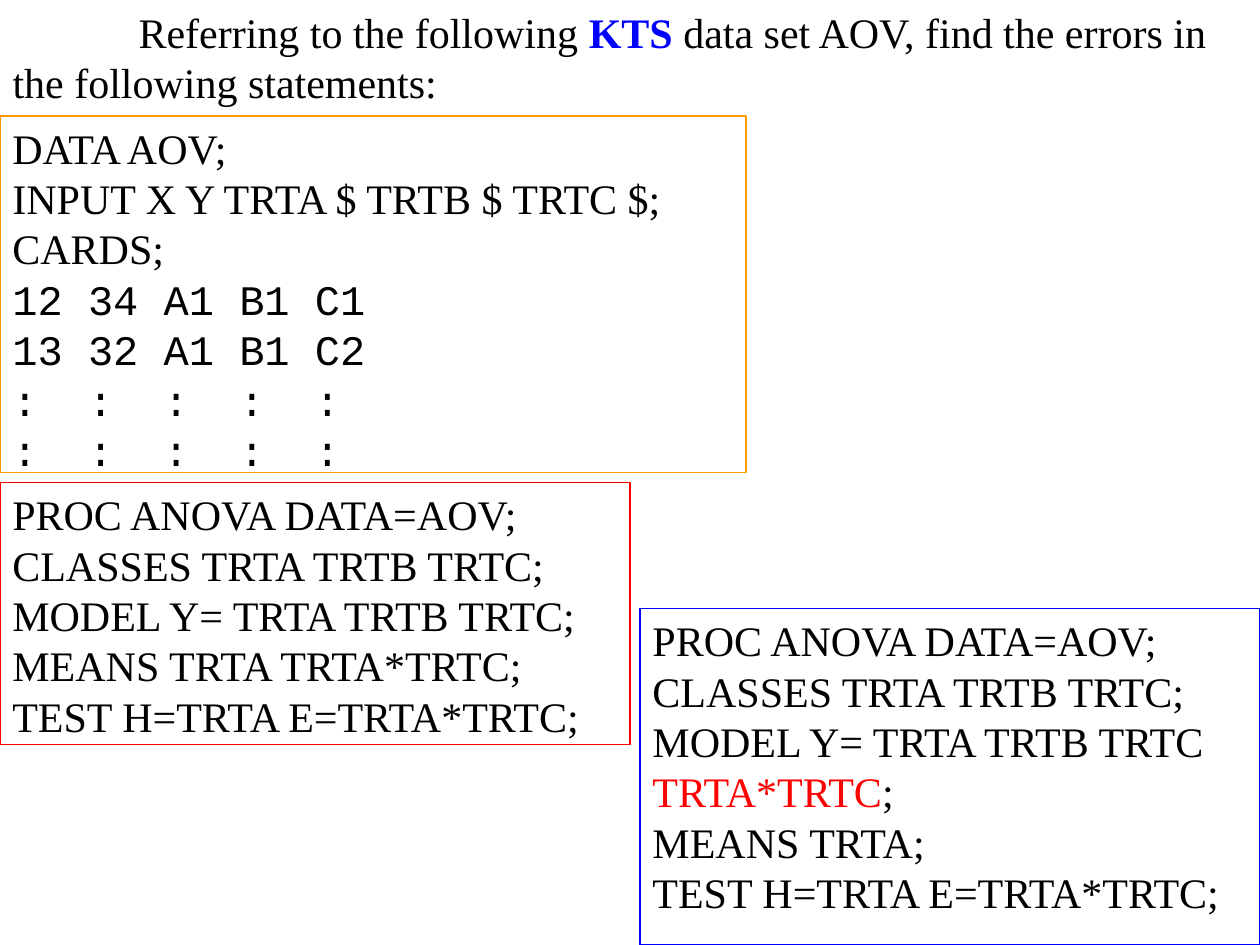
from lxml import etree
from pptx import Presentation
from pptx.dml.color import RGBColor
from pptx.enum import shapes, text
from pptx.oxml import ns
from pptx.util import Inches, Pt

COLORS = {
    "black": "000000",
    "white": "FFFFFF",
    "orange": "FF9900",
    "red": "FF0000",
    "blue": "0000FF",
}
SERIF, MONO = "Times New Roman", "Courier New"


def color(name):
    return RGBColor.from_string(COLORS[name])


def style(font, face=SERIF):
    font.name = face
    font.size = Pt(24)
    font.color.rgb = color("black")


def add_tab_stop(paragraph, position):
    properties = paragraph._p.get_or_add_pPr()
    tabs = etree.SubElement(properties, ns.qn("a:tabLst"))
    etree.SubElement(tabs, ns.qn("a:tab"), pos=str(position), algn="l")


def add_question(slide, left, top, width, height):
    """Opening question in the title placeholder, with the software name marked."""
    question = slide.shapes.title
    question.left, question.top = Inches(left), Inches(top)
    question.width, question.height = Inches(width), Inches(height)
    frame = question.text_frame
    frame.word_wrap = True
    frame.auto_size = text.MSO_AUTO_SIZE.NONE
    frame.vertical_anchor = text.MSO_ANCHOR.TOP
    sentence = frame.paragraphs[0]
    sentence.alignment = text.PP_ALIGN.LEFT
    add_tab_stop(sentence, Inches(1))
    style(sentence.font)
    sentence.add_run().text = "\tReferring to the following "
    software = sentence.add_run()
    software.text = "KTS"
    software.font.bold = True
    software.font.color.rgb = color("blue")
    sentence.add_run().text = (
        " data set AOV, find the errors in the following statements:")


def add_code(slide, left, top, width, height, border, lines, mono_from=None):
    """Framed code; a line is a string or a list of (text, color name) pieces."""
    panel = slide.shapes.add_shape(
        shapes.MSO_SHAPE.RECTANGLE,
        Inches(left), Inches(top), Inches(width), Inches(height))
    panel.shadow.inherit = False
    panel.fill.solid()
    panel.fill.fore_color.rgb = color("white")
    panel.line.color.rgb = color(border)
    panel.line.width = Pt(0.75)
    frame = panel.text_frame
    frame.word_wrap = True
    frame.vertical_anchor = text.MSO_ANCHOR.TOP
    for number, line in enumerate(lines):
        statement = frame.add_paragraph() if number else frame.paragraphs[0]
        statement.alignment = text.PP_ALIGN.LEFT
        is_data = mono_from is not None and number >= mono_from
        style(statement.font, MONO if is_data else SERIF)
        pieces = [(line, "black")] if isinstance(line, str) else line
        for words, shade in pieces:
            run = statement.add_run()
            run.text = words
            if shade != "black":
                run.font.color.rgb = color(shade)


def main():
    prs = Presentation()
    prs.slide_width, prs.slide_height = Inches(10), Inches(7.5)
    slide = prs.slides.add_slide(prs.slide_layouts[5])

    add_question(slide, 0, 0, 10, 0.9)

    # Data step, with its data rows in a fixed-width font
    add_code(slide, 0, 0.92, 5.92, 2.83, "orange", [
        "DATA AOV;",
        "INPUT X Y TRTA $ TRTB $ TRTC $;",
        "CARDS;",
        "12 34 A1 B1 C1",
        "13 32 A1 B1 C2",
        ":  :  :  :  :",
        ":  :  :  :  :",
    ], mono_from=3)

    # Faulty and corrected procedures share their first and last statements
    opening = ["PROC ANOVA DATA=AOV;", "CLASSES TRTA TRTB TRTC;"]
    closing = ["TEST H=TRTA E=TRTA*TRTC;"]
    add_code(slide, 0, 3.83, 5, 2.08, "red", opening + [
        "MODEL Y= TRTA TRTB TRTC;",
        "MEANS TRTA TRTA*TRTC;",
    ] + closing)
    add_code(slide, 5.08, 4.83, 4.92, 2.67, "blue", opening + [
        "MODEL Y= TRTA TRTB TRTC",
        [("TRTA*TRTC", "red"), (";", "black")],
        "MEANS TRTA;",
    ] + closing)

    prs.save("out.pptx")


if __name__ == "__main__":
    main()
